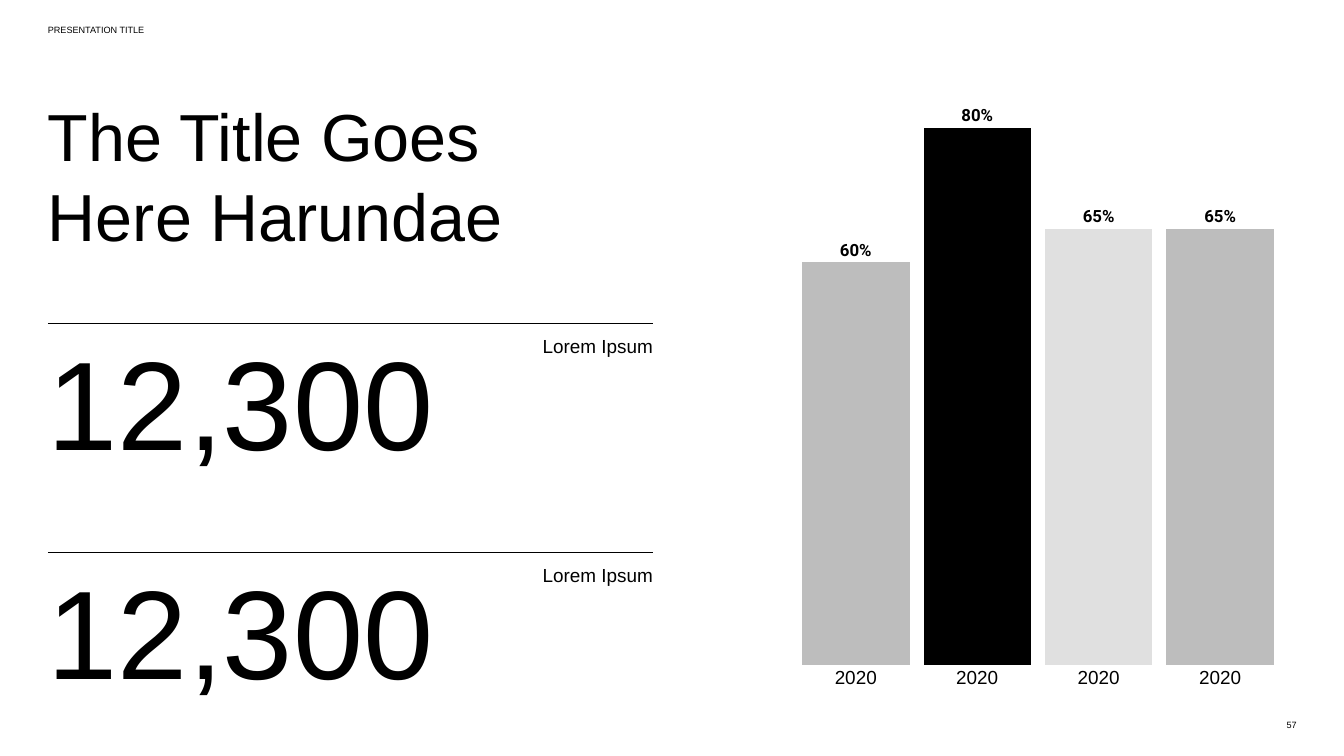
"""Builds a slide with two key figures beside a column chart."""
import pptx
import pptx.chart.data
import pptx.dml.color
import pptx.enum.chart
import pptx.enum.shapes
import pptx.enum.text
import pptx.oxml
import pptx.oxml.ns
import pptx.util

TITLE = "The Title Goes Here Harundae"
HEADER = "PRESENTATION TITLE"
PAGE = "57"
FIGURES = [("12,300", "Lorem Ipsum"), ("12,300", "Lorem Ipsum")]
BARS = [("2020", 0.6, "mid"), ("2020", 0.8, "ink"), ("2020", 0.65, "light"), ("2020", 0.65, "mid")]
COLORS = {"ink": "000000", "mid": "BDBDBD", "light": "E0E0E0"}
WIDTH, HEIGHT = 26.66, 15
LEFT, COLUMN = 0.95, 12
RULE_TOP, RULE_STEP = 6.41, 4.54
LABEL_WIDTH = 4.27
PLOT = {"x": 0.02, "y": 0.02, "w": 0.96, "h": 0.92}

Inches, Pt = pptx.util.Inches, pptx.util.Pt
Align, Anchor = pptx.enum.text.PP_ALIGN, pptx.enum.text.MSO_ANCHOR


def color(name):
    return pptx.dml.color.RGBColor.from_string(COLORS[name])


def style(font, size, name="Arial", bold=False):
    font.name, font.size, font.bold = name, Pt(size), bold
    font.color.rgb = color("ink")


def add_text(s, text, box, size, align=Align.LEFT, anchor=Anchor.TOP, sp=None):
    sp = sp or s.shapes.add_textbox(0, 0, 0, 0)
    sp.left, sp.top, sp.width, sp.height = map(Inches, box)
    tf = sp.text_frame
    tf.word_wrap, tf.auto_size = True, pptx.enum.text.MSO_AUTO_SIZE.NONE
    tf.margin_left = tf.margin_top = tf.margin_right = tf.margin_bottom = 0
    tf.vertical_anchor = anchor
    p = tf.paragraphs[0]
    p.alignment = align
    r = p.add_run()
    r.text = text
    style(r.font, size)


def add_rule(s, y):
    line = s.shapes.add_connector(
        pptx.enum.shapes.MSO_CONNECTOR.STRAIGHT,
        Inches(LEFT), Inches(y), Inches(LEFT + COLUMN), Inches(y))
    line.line.color.rgb, line.line.width = color("ink"), Pt(0.5)
    pptx.oxml.ns.qn("a:effectLst")
    line._element.spPr.append(pptx.oxml.parse_xml(
        f"<a:effectLst {pptx.oxml.ns.nsdecls('a')}/>"))


def add_bars(s):
    data = pptx.chart.data.CategoryChartData(number_format="0%")
    data.categories = [year for year, _, _ in BARS]
    data.add_series("Series 1", [value for _, value, _ in BARS])
    chart = s.shapes.add_chart(
        pptx.enum.chart.XL_CHART_TYPE.COLUMN_CLUSTERED,
        *map(Inches, (15.57, LEFT, 10.04, 13.03)), data).chart
    chart.has_legend = chart.has_title = False
    style(chart.font, 10)

    values, years = chart.value_axis, chart.category_axis
    values.minimum_scale, values.maximum_scale = 0, 0.9
    values.has_major_gridlines = values.visible = False
    years.major_tick_mark = pptx.enum.chart.XL_TICK_MARK.NONE
    years.format.line.fill.background()
    style(years.tick_labels.font, 27)

    plot = chart.plots[0]
    plot.gap_width, plot.overlap, plot.vary_by_categories = 13, -27, False
    plot.has_data_labels = True
    labels = plot.data_labels
    labels.show_value, labels.number_format = True, "0%"
    labels.number_format_is_linked = False
    labels.position = pptx.enum.chart.XL_LABEL_POSITION.OUTSIDE_END
    style(labels.font, 24, name="Roboto", bold=True)
    for i, (_, _, shade) in enumerate(BARS):
        fill = plot.series[0].points[i].format.fill
        fill.solid()
        fill.fore_color.rgb = color(shade)

    area = chart._chartSpace.chart.plotArea
    for old in area.findall(pptx.oxml.ns.qn("c:layout")):
        area.remove(old)
    parts = "".join(f'<c:{key} val="{share}"/>' for key, share in PLOT.items())
    area.insert(0, pptx.oxml.parse_xml(
        f"<c:layout {pptx.oxml.ns.nsdecls('c')}><c:manualLayout>"
        '<c:layoutTarget val="inner"/><c:xMode val="edge"/><c:yMode val="edge"/>'
        f"{parts}</c:manualLayout></c:layout>"))


def main():
    prs = pptx.Presentation()
    prs.slide_width, prs.slide_height = Inches(WIDTH), Inches(HEIGHT)
    s = prs.slides.add_slide(prs.slide_layouts[5])
    add_text(s, TITLE, (LEFT, 1.89, 10.78, 3), 95, sp=s.shapes.title)
    add_text(s, HEADER, (LEFT, 0.49, 9, 0.47), 13)
    add_text(s, PAGE, (24.59, 14.18, 1.13, 0.42), 13, Align.RIGHT, Anchor.MIDDLE)
    for i, (figure, label) in enumerate(FIGURES):
        y = RULE_TOP + i * RULE_STEP
        add_rule(s, y)
        add_text(s, figure, (LEFT, y + 0.29, COLUMN, 2.74), 180, anchor=Anchor.BOTTOM)
        add_text(s, label, (LEFT + COLUMN - LABEL_WIDTH, y + 0.23, LABEL_WIDTH, 0.56),
                 27, Align.RIGHT)
    add_bars(s)
    prs.save("out.pptx")


if __name__ == "__main__":
    main()
